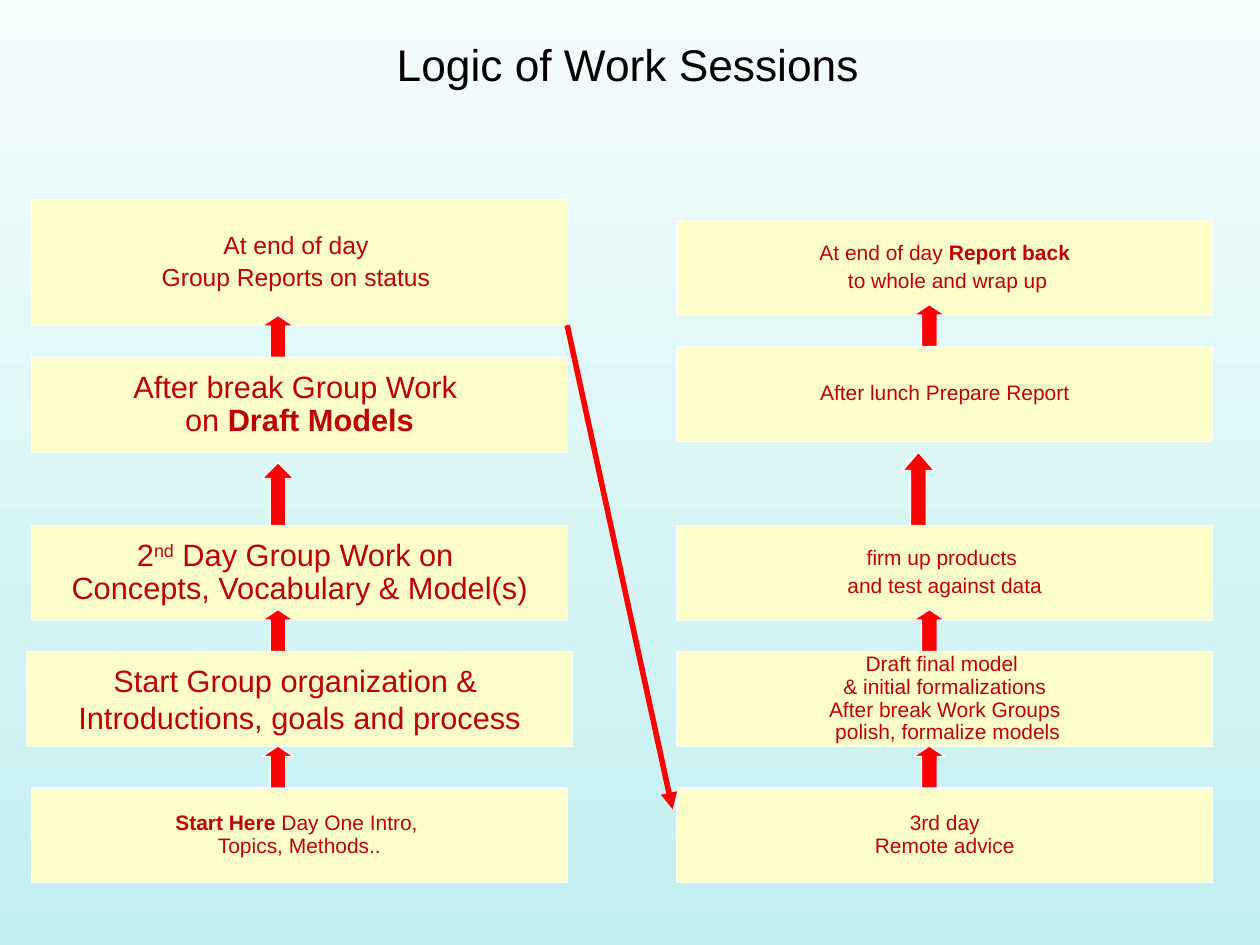
from dataclasses import dataclass

from lxml import etree
from pptx import Presentation
from pptx import util as u
from pptx.dml.color import RGBColor
from pptx.enum import shapes, text
from pptx.oxml import ns

FONT = "Arial"
SKY_TOP = RGBColor(0xF5, 0xFC, 0xFC)
SKY_BOTTOM = RGBColor(0xC2, 0xF0, 0xF0)
CREAM = RGBColor(0xFF, 0xFF, 0xCC)
WHITE = RGBColor(0xFF, 0xFF, 0xFF)
BLACK = RGBColor(0, 0, 0)
RED = RGBColor(0xFF, 0, 0)
DARK_RED = RGBColor(0xC0, 0, 0)

# Lengths in centimetres
LEFT_X, RIGHT_X = 0.91, 19.41
STEP_WIDTH, STEP_HEIGHT = 15.35, 2.72
ARROW_WIDTH = 0.9
LEFT_ARROW_X, RIGHT_ARROW_X = 7.52, 26.19
HEAD_RULE = 3.6  # rise of an arrow divided by its head adjustment


@dataclass(frozen=True)
class Span:
    text: str
    bold: bool = False
    raised: bool = False


@dataclass(frozen=True)
class Step:
    """A box of the work plan, with the arrow that rises from its top edge."""
    left: float
    top: float
    lines: tuple[tuple[Span, ...], ...]
    size: float
    arrow_left: float
    rise: float = 1.2
    width: float = STEP_WIDTH
    height: float = STEP_HEIGHT
    line_spacing: float = 0.9
    gap: float = 0


def plain(*lines: str) -> tuple[tuple[Span, ...], ...]:
    return tuple((Span(line),) for line in lines)


STEPS = (
    # Days one and two, bottom to top
    Step(LEFT_X, 22.58,
         ((Span("Start Here ", bold=True), Span("Day One Intro, ")),
          (Span("Topics, Methods.."),)), 17, LEFT_ARROW_X),
    Step(0.76, 18.67,
         plain("Start Group organization & ", "Introductions, goals and process"),
         25, LEFT_ARROW_X, width=15.65, line_spacing=1),
    Step(LEFT_X, 15.06,
         ((Span("2"), Span("nd", raised=True), Span(" Day Group Work on ")),
          (Span("Concepts, Vocabulary & Model(s)"),)), 25, LEFT_ARROW_X, rise=1.8),
    Step(LEFT_X, 10.24,
         ((Span("After break Group Work "),),
          (Span("on "), Span("Draft Models", bold=True))), 25, LEFT_ARROW_X),
    Step(LEFT_X, 5.72, plain("At end of day ", "Group Reports on status "),
         20, LEFT_ARROW_X, rise=0, height=3.61, gap=4.2),
    # Day three, bottom to top
    Step(RIGHT_X, 22.58, plain("3rd day", "Remote advice"), 17, RIGHT_ARROW_X),
    Step(RIGHT_X, 18.67,
         plain("Draft final model ", "& initial formalizations",
               "After break Work Groups", " polish, formalize models"),
         17, RIGHT_ARROW_X),
    Step(RIGHT_X, 15.06, plain("firm up products ", "and test against data"),
         17, 25.88, rise=2.1, gap=4.2),
    Step(RIGHT_X, 9.93, plain("After lunch Prepare Report"), 17, RIGHT_ARROW_X),
    Step(RIGHT_X, 6.32,
         ((Span("At end of day "), Span("Report back", bold=True)),
          (Span(" to whole and wrap up"),)), 17, RIGHT_ARROW_X, rise=0, gap=4.2),
)


def style_shape(shape, fill: RGBColor) -> None:
    shape.shadow.inherit = False
    shape.fill.solid()
    shape.fill.fore_color.rgb = fill
    shape.line.color.rgb = WHITE
    shape.line.width = u.Pt(1)


def write_lines(frame, step: Step) -> None:
    frame.word_wrap = False
    frame.vertical_anchor = text.MSO_ANCHOR.MIDDLE
    for number, spans in enumerate(step.lines):
        paragraph = frame.add_paragraph() if number else frame.paragraphs[0]
        paragraph.alignment = text.PP_ALIGN.CENTER
        paragraph.line_spacing = step.line_spacing
        if number and step.gap:
            paragraph.space_before = u.Pt(step.gap)
        for span in spans:
            run = paragraph.add_run()
            run.text = span.text
            run.font.name = FONT
            run.font.size = u.Pt(step.size)
            run.font.bold = span.bold
            run.font.color.rgb = DARK_RED
            if span.raised:
                run._r.get_or_add_rPr().set("baseline", "30000")


def add_step(slide, step: Step) -> None:
    box = slide.shapes.add_shape(
        shapes.MSO_SHAPE.RECTANGLE, u.Cm(step.left), u.Cm(step.top),
        u.Cm(step.width), u.Cm(step.height))
    style_shape(box, CREAM)
    write_lines(box.text_frame, step)


def add_rise(slide, step: Step) -> None:
    arrow = slide.shapes.add_shape(
        shapes.MSO_SHAPE.UP_ARROW, u.Cm(step.arrow_left),
        u.Cm(step.top - step.rise), u.Cm(ARROW_WIDTH), u.Cm(step.rise))
    arrow.adjustments[0] = 0.5
    arrow.adjustments[1] = step.rise / HEAD_RULE
    style_shape(arrow, RED)


def add_day_link(slide) -> None:
    link = slide.shapes.add_connector(
        shapes.MSO_CONNECTOR.STRAIGHT, u.Cm(16.26), u.Cm(9.32),
        u.Cm(19.28), u.Cm(23.19))
    link.line.color.rgb = RED
    link.line.width = u.Pt(4.5)
    outline = link.line._get_or_add_ln()
    etree.SubElement(outline, ns.qn("a:tailEnd"), type="triangle")
    etree.SubElement(link._element.spPr, ns.qn("a:effectLst"))


def set_title(slide) -> None:
    title = slide.shapes.title
    title.left, title.top = u.Cm(1.8), u.Cm(0.38)
    title.width, title.height = u.Cm(32.54), u.Cm(2.92)
    frame = title.text_frame
    frame.text = "Logic of Work Sessions"
    frame.vertical_anchor = text.MSO_ANCHOR.MIDDLE
    frame.margin_left = frame.margin_top = frame.margin_bottom = u.Cm(0.15)
    frame.margin_right = u.Cm(0.3)
    heading = frame.paragraphs[0]
    heading.alignment = text.PP_ALIGN.CENTER
    font = heading.runs[0].font
    font.name, font.size = FONT, u.Pt(36)
    font.color.rgb = BLACK


def set_background(slide) -> None:
    fill = slide.background.fill
    fill.gradient()
    fill.gradient_angle = 270
    for stop, color in zip(fill.gradient_stops, (SKY_TOP, SKY_BOTTOM)):
        stop.color.rgb = color


def main() -> None:
    deck = Presentation()
    deck.slide_width, deck.slide_height = u.Cm(36.12), u.Cm(27.08)
    slide = deck.slides.add_slide(deck.slide_layouts.get_by_name("Title Only"))
    set_background(slide)
    set_title(slide)

    # Boxes first, so that the arrows lie over them
    for step in STEPS:
        add_step(slide, step)
    for step in STEPS:
        if step.rise:
            add_rise(slide, step)

    # From the end of day two to the start of day three
    add_day_link(slide)
    deck.save("out.pptx")


if __name__ == "__main__":
    main()
